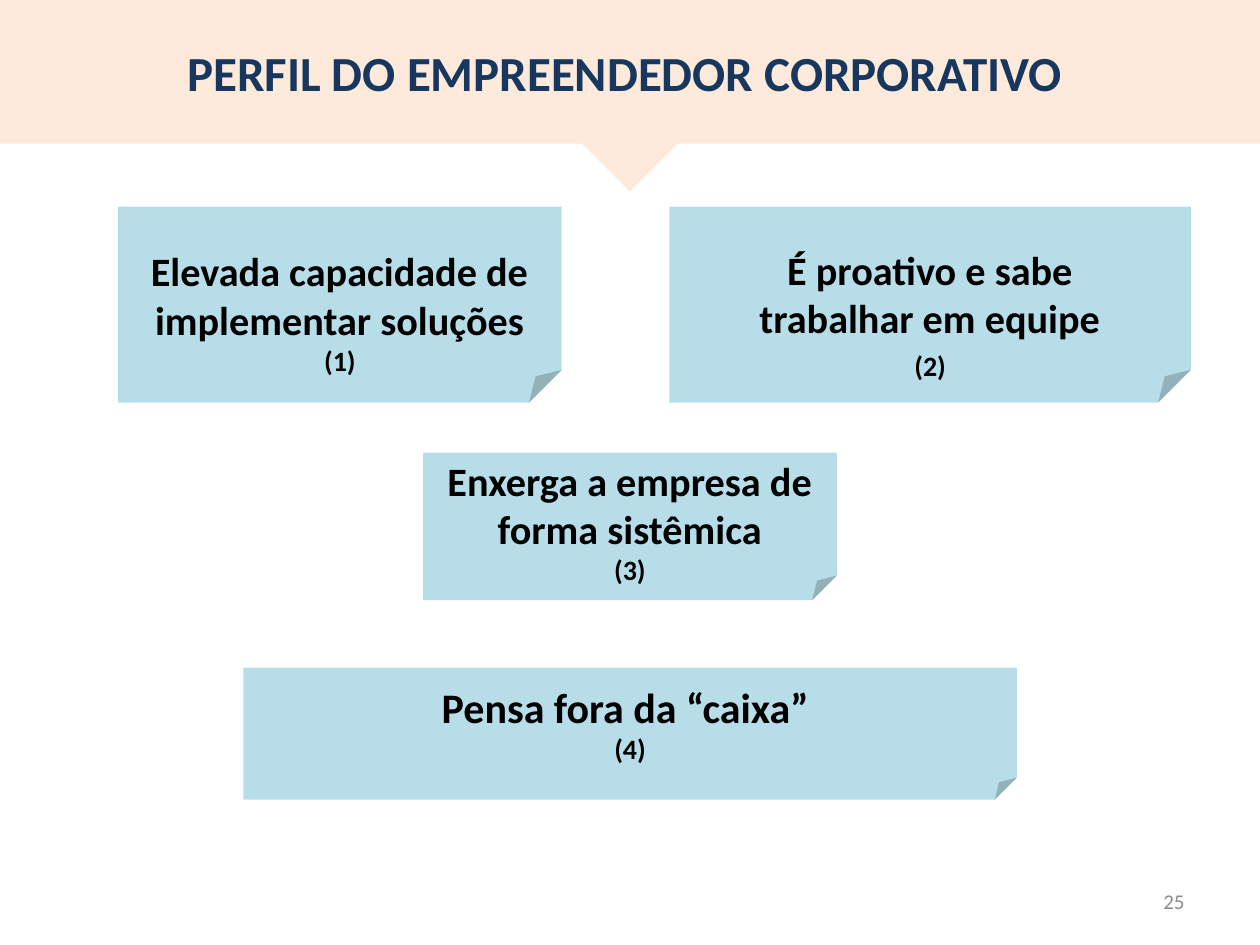
from dataclasses import dataclass

from pptx import Presentation
from pptx import util as u
from pptx.dml import color
from pptx.enum import shapes, text

Pt = u.Pt


@dataclass(frozen=True)
class Theme:
    font: str = "Calibri"
    band: str = "FDEADA"
    note: str = "B7DEE8"
    title: str = "17375E"
    ink: str = "000000"
    gray: str = "8C8C8C"
    head: int = 28
    large: int = 24
    body: int = 23
    mark: int = 16
    small: int = 12


theme = Theme()


def add_run(para, words, size, tint, bold=True, align=text.PP_ALIGN.CENTER):
    para.alignment = align
    run = para.add_run()
    run.text = words
    run.font.name = theme.font
    run.font.size = Pt(size)
    run.font.bold = bold
    run.font.color.rgb = color.RGBColor.from_string(tint)


def add_box(kind, left, top, width, height, tint):
    box = slide.shapes.add_shape(kind, Pt(left), Pt(top), Pt(width), Pt(height))
    box.shadow.inherit = False
    box.fill.solid()
    box.fill.fore_color.rgb = color.RGBColor.from_string(tint)
    box.line.fill.background()
    return box


deck = Presentation()
deck.slide_width, deck.slide_height = Pt(720), Pt(540)
slide = deck.slides.add_slide(deck.slide_layouts[5])

# Header band with its arrow
band = add_box(shapes.MSO_SHAPE.DOWN_ARROW_CALLOUT, 0, 0, 720, 109.5, theme.band)
for i, ratio in enumerate((0.25, 0.25, 0.25, 0.75)):
    band.adjustments[i] = ratio

# Title, moved in front of the band
title = slide.shapes.title
title.left, title.top, title.width, title.height = Pt(0), Pt(0), Pt(720), Pt(82)
title.text_frame.vertical_anchor = text.MSO_ANCHOR.MIDDLE
add_run(title.text_frame.paragraphs[0], "PERFIL DO EMPREENDEDOR CORPORATIVO ",
        theme.head, theme.title)
band._element.addnext(title._element)

# Notes: place, top inset, type size, lines, gap above the number
notes = [
    ((67.5, 118, 253.5, 112), 23, theme.body,
     ["Elevada capacidade de implementar soluções"], 0),
    ((382.5, 118, 298, 112), 22, theme.body,
     ["É proativo e sabe", "trabalhar em equipe"], 4),
    ((241.8, 258.6, 236.4, 84.4), 2, theme.body,
     ["Enxerga a empresa de forma sistêmica"], 0),
    ((139, 381.5, 442, 75.5), 8, theme.large,
     ["Pensa fora da “caixa” "], 0),
]
for num, (place, inset, size, lines, gap) in enumerate(notes, 1):
    note = add_box(shapes.MSO_SHAPE.FOLDED_CORNER, *place, theme.note)
    frame = note.text_frame
    frame.word_wrap = True
    frame.vertical_anchor = text.MSO_ANCHOR.TOP
    frame.margin_top, frame.margin_bottom = Pt(inset), Pt(0)
    para = frame.paragraphs[0]
    for line in lines:
        add_run(para, line, size, theme.ink)
        para = frame.add_paragraph()
    para.space_before = Pt(gap)
    add_run(para, f"({num})", theme.mark, theme.ink)

# Slide number
page = slide.shapes.add_textbox(Pt(516), Pt(500.5), Pt(168), Pt(28.75))
page.text_frame.word_wrap = True
page.text_frame.vertical_anchor = text.MSO_ANCHOR.MIDDLE
add_run(page.text_frame.paragraphs[0], "25", theme.small, theme.gray,
        bold=False, align=text.PP_ALIGN.RIGHT)

deck.save("out.pptx")
